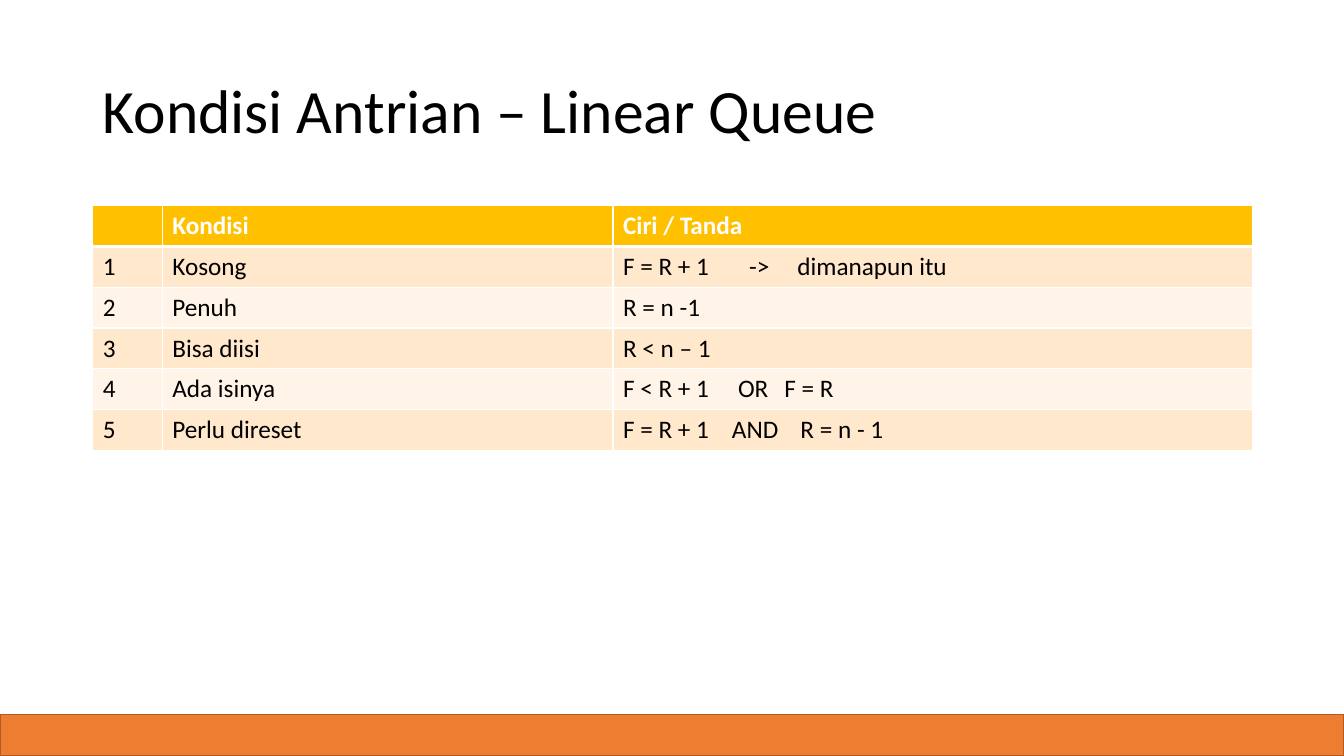
from lxml.etree import SubElement
from pptx import Presentation
from pptx.dml.color import RGBColor
from pptx.enum.shapes import MSO_SHAPE as SHAPE
from pptx.enum.text import MSO_ANCHOR as ANCHOR
from pptx.oxml.ns import qn
from pptx.util import Inches, Pt

BLACK = RGBColor(0x00, 0x00, 0x00)
WHITE = RGBColor(0xFF, 0xFF, 0xFF)
GOLD = RGBColor(0xFF, 0xC0, 0x00)
PEACH = RGBColor(0xFF, 0xE8, 0xCC)
CREAM = RGBColor(0xFF, 0xF4, 0xE7)
ORANGE = RGBColor(0xED, 0x7D, 0x31)
BROWN = RGBColor(0xAF, 0x5C, 0x24)

WIDTH, HEIGHT = 13.33, 7.5
LEFT, CONTENT_WIDTH = 0.92, 11.5
BAR_TOP = 7.09

COLUMNS = [0.69, 4.47, 6.34]
ROWS = [
    ["", "Kondisi", "Ciri / Tanda"],
    ["1", "Kosong", "F = R + 1\t->\tdimanapun itu"],
    ["2", "Penuh", "R = n -1"],
    ["3", "Bisa diisi", "R < n – 1"],
    ["4", "Ada isinya", "F < R + 1\tOR\tF = R"],
    ["5", "Perlu direset", "F = R + 1\tAND\tR = n - 1"],
]
# Tab stops in inches for the rows whose text has gaps
TABS = {1: [1.25, 1.73], 4: [1.14, 1.6], 5: [1.08, 1.76]}


class SlideBuilder:
    def __init__(self, prs, font="Calibri"):
        self.s = prs.slides.add_slide(prs.slide_layouts[6])
        self.font = font

    def add_text(self, p, text, color, **formats):
        r = p.add_run()
        r.text = text
        r.font.color.rgb = color
        for name, value in {"name": self.font, **formats}.items():
            setattr(r.font, name, value)

    def title(self, text, x, y, w, h):
        tf = self.s.shapes.add_textbox(*map(Inches, (x, y, w, h))).text_frame
        tf.word_wrap = True
        tf.vertical_anchor = ANCHOR.MIDDLE
        p = tf.paragraphs[0]
        p.line_spacing = 0.9
        self.add_text(p, text, BLACK, size=Pt(44))

    def bar(self, x, y, w, h, fill, line):
        sp = self.s.shapes.add_shape(SHAPE.RECTANGLE, *map(Inches, (x, y, w, h)))
        sp.shadow.inherit = False
        sp.fill.solid()
        sp.fill.fore_color.rgb = fill
        sp.line.color.rgb = line
        sp.line.width = Pt(1)

    def borders(self, cell, color, widths):
        tc_pr = cell._tc.get_or_add_tcPr()
        for side, width in widths.items():
            ln = SubElement(tc_pr, qn(f"a:ln{side}"), w=str(Pt(width)))
            fill = SubElement(ln, qn("a:solidFill"))
            SubElement(fill, qn("a:srgbClr"), val=str(color))

    def tab_stops(self, p, stops):
        tabs = SubElement(p._p.get_or_add_pPr(), qn("a:tabLst"))
        for stop in stops:
            SubElement(tabs, qn("a:tab"), pos=str(Inches(stop)), algn="l")

    def table(self, rows, columns, x, y, w, h, tabs):
        table = self.s.shapes.add_table(
            len(rows), len(columns), *map(Inches, (x, y, w, h))).table
        for column, width in zip(table.columns, columns):
            column.width = Inches(width)
        for i, row in enumerate(rows):
            header = i == 0
            fill = GOLD if header else (CREAM, PEACH)[i % 2]
            widths = {"L": 1, "R": 1, "T": 3 if i == 1 else 1,
                      "B": 3 if header else 1}
            for j, text in enumerate(row):
                cell = table.cell(i, j)
                self.borders(cell, WHITE, widths)
                cell.fill.solid()
                cell.fill.fore_color.rgb = fill
                p = cell.text_frame.paragraphs[0]
                if "\t" in text:
                    self.tab_stops(p, tabs[i])
                if text:
                    self.add_text(p, text, WHITE if header else BLACK,
                                  size=Pt(18), bold=header)


def main():
    prs = Presentation()
    prs.slide_width, prs.slide_height = Inches(WIDTH), Inches(HEIGHT)
    slide = SlideBuilder(prs)

    # Title
    slide.title("Kondisi Antrian – Linear Queue", LEFT, 0.4, CONTENT_WIDTH, 1.45)
    # Queue conditions
    slide.table(ROWS, COLUMNS, LEFT, 2.04, CONTENT_WIDTH, 2.43, TABS)
    # Footer bar
    slide.bar(0, BAR_TOP, WIDTH, HEIGHT - BAR_TOP, ORANGE, BROWN)

    prs.save("out.pptx")


if __name__ == "__main__":
    main()
